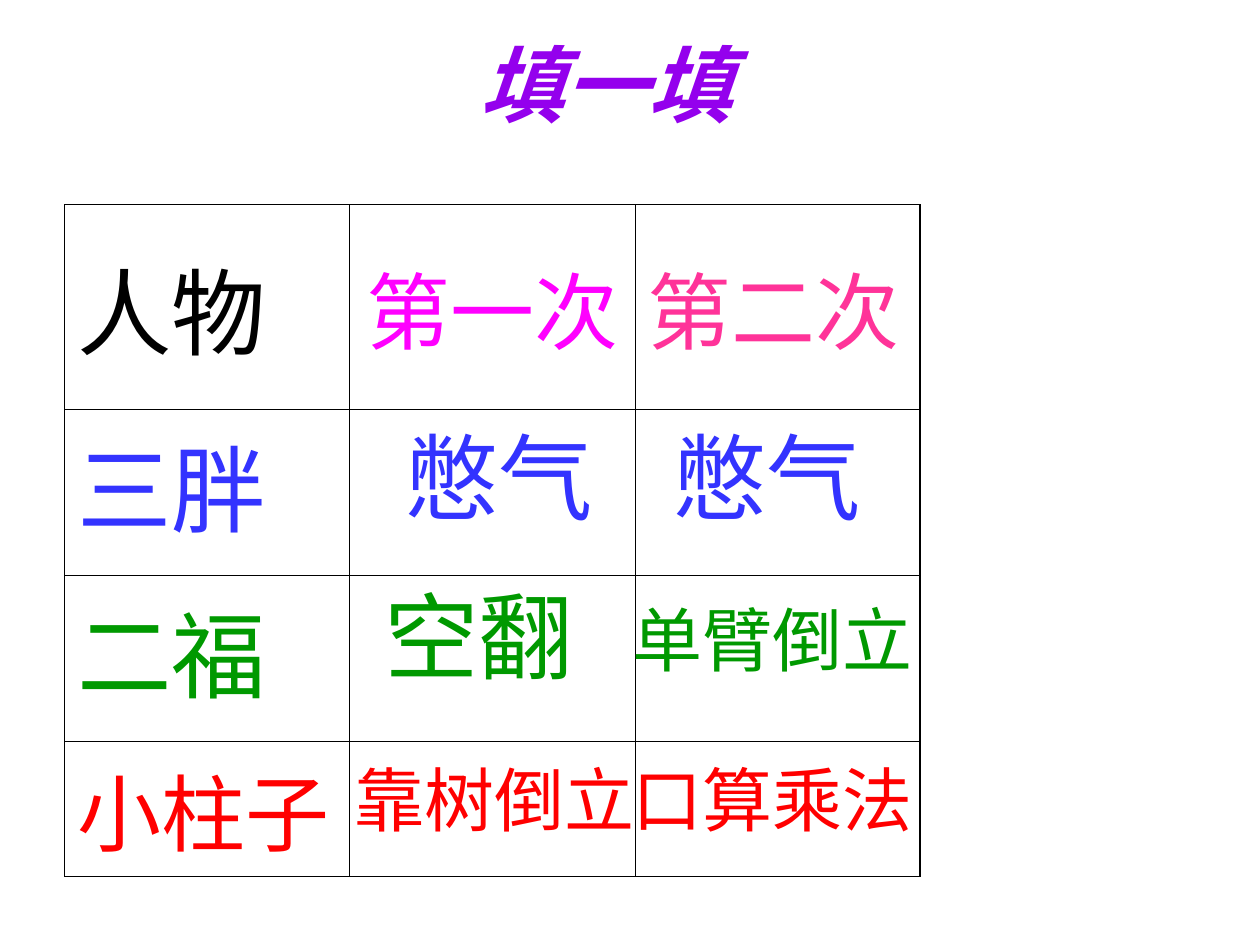
from dataclasses import dataclass
from typing import Optional

import pptx
import pptx.dml.color
import pptx.enum.text
import pptx.oxml
import pptx.oxml.ns
import pptx.util

Pt = pptx.util.Pt
RGB = pptx.dml.color.RGBColor
Align = pptx.enum.text.PP_ALIGN
Anchor = pptx.enum.text.MSO_ANCHOR
AutoSize = pptx.enum.text.MSO_AUTO_SIZE


@dataclass(frozen=True)
class Theme:
    font: str = "Arial"
    title_font: str = "Noto Sans CJK SC"
    title: str = "9400ED"
    heading: str = "000000"
    first: str = "FF00FF"
    second: str = "FF3399"
    sanpang: str = "3333FF"
    erfu: str = "009900"
    xiaozhuzi: str = "FF0000"
    border: str = "000000"
    large: int = 54
    medium: int = 48
    small: int = 40
    right_line: float = 1.08
    thin_line: float = 0.45


@dataclass(frozen=True)
class Label:
    row: int
    column: int
    text: str
    color: str
    size: int
    align: Optional[Align] = None


@dataclass(frozen=True)
class Answer:
    text: str
    left: float
    top: float
    width: float
    height: float
    color: str
    size: int


THEME = Theme()
TABLE_LEFT, TABLE_TOP = 36.9, 116.9
COLUMN_WIDTHS = [163] * 3
ROW_HEIGHTS = [117, 95, 95, 71.5]

LABELS = [
    Label(0, 0, "人物", THEME.heading, THEME.large),
    Label(0, 1, "第一次", THEME.first, THEME.medium, Align.CENTER),
    Label(0, 2, "第二次", THEME.second, THEME.medium),
    Label(1, 0, "三胖", THEME.sanpang, THEME.large),
    Label(2, 0, "二福", THEME.erfu, THEME.large),
    Label(3, 0, "小柱子", THEME.xiaozhuzi, THEME.medium),
]

ANSWERS = [
    Answer("憋气", 224, 236, 124.5, 72, THEME.sanpang, THEME.large),
    Answer("憋气", 377, 236, 136, 72, THEME.sanpang, THEME.large),
    Answer("空翻", 212.5, 327, 136, 72, THEME.erfu, THEME.large),
    Answer("单臂倒立", 354.5, 337.5, 215, 55.5, THEME.erfu, THEME.small),
    Answer("靠树倒立", 195.5, 428.5, 209.5, 55.5, THEME.xiaozhuzi, THEME.small),
    Answer("口算乘法", 354.5, 428.5, 181.5, 55.5, THEME.xiaozhuzi, THEME.small),
]


def write(frame, text: str, color: str, size: int,
          align: Optional[Align] = None, **extra) -> None:
    paragraph = frame.paragraphs[0]
    paragraph.alignment = align
    run = paragraph.add_run()
    run.text = text
    for attribute, value in {"name": THEME.font, "size": Pt(size), **extra}.items():
        setattr(run.font, attribute, value)
    run.font.color.rgb = RGB.from_string(color)


def set_borders(cell, is_rightmost: bool) -> None:
    properties = cell._tc.get_or_add_tcPr()
    for index, side in enumerate(("lnL", "lnR", "lnT", "lnB")):
        is_heavy = is_rightmost and side == "lnR"
        width = Pt(THEME.right_line if is_heavy else THEME.thin_line)
        properties.insert(index, pptx.oxml.parse_xml(
            f'<a:{side} {pptx.oxml.ns.nsdecls("a")} w="{width}"><a:solidFill>'
            f'<a:srgbClr val="{THEME.border}"/></a:solidFill></a:{side}>'))


def draw_title(slide) -> None:
    title = slide.shapes.title
    place = {"left": 207, "top": 15, "width": 278, "height": 90.5}
    for attribute, value in place.items():
        setattr(title, attribute, Pt(value))
    frame = title.text_frame
    frame.word_wrap = False
    frame.auto_size = AutoSize.NONE
    frame.vertical_anchor = Anchor.TOP
    write(frame, "填一填", THEME.title, THEME.medium, Align.CENTER,
          name=THEME.title_font, bold=True, italic=True)


def draw_table(slide) -> None:
    row_count, column_count = len(ROW_HEIGHTS), len(COLUMN_WIDTHS)
    table = slide.shapes.add_table(
        row_count, column_count, Pt(TABLE_LEFT), Pt(TABLE_TOP),
        Pt(sum(COLUMN_WIDTHS)), Pt(sum(ROW_HEIGHTS))).table
    table.first_row = table.horz_banding = False
    for column, width in zip(table.columns, COLUMN_WIDTHS):
        column.width = Pt(width)
    for r, height in enumerate(ROW_HEIGHTS):
        table.rows[r].height = Pt(height)
        for c in range(column_count):
            cell = table.cell(r, c)
            cell.fill.background()
            cell.vertical_anchor = Anchor.MIDDLE if r == 0 else Anchor.TOP
            set_borders(cell, c == column_count - 1)
    for label in LABELS:
        write(table.cell(label.row, label.column).text_frame,
              label.text, label.color, label.size, label.align)


def draw_answer(slide, answer: Answer) -> None:
    frame = slide.shapes.add_textbox(
        Pt(answer.left), Pt(answer.top), Pt(answer.width), Pt(answer.height)).text_frame
    frame.word_wrap = True
    frame.auto_size = AutoSize.SHAPE_TO_FIT_TEXT
    write(frame, answer.text, answer.color, answer.size)


def main() -> None:
    presentation = pptx.Presentation()
    presentation.slide_width, presentation.slide_height = Pt(720), Pt(540)
    slide = presentation.slides.add_slide(presentation.slide_layouts[5])
    draw_table(slide)
    for answer in ANSWERS:
        draw_answer(slide, answer)
    draw_title(slide)
    presentation.save("out.pptx")


if __name__ == "__main__":
    main()
